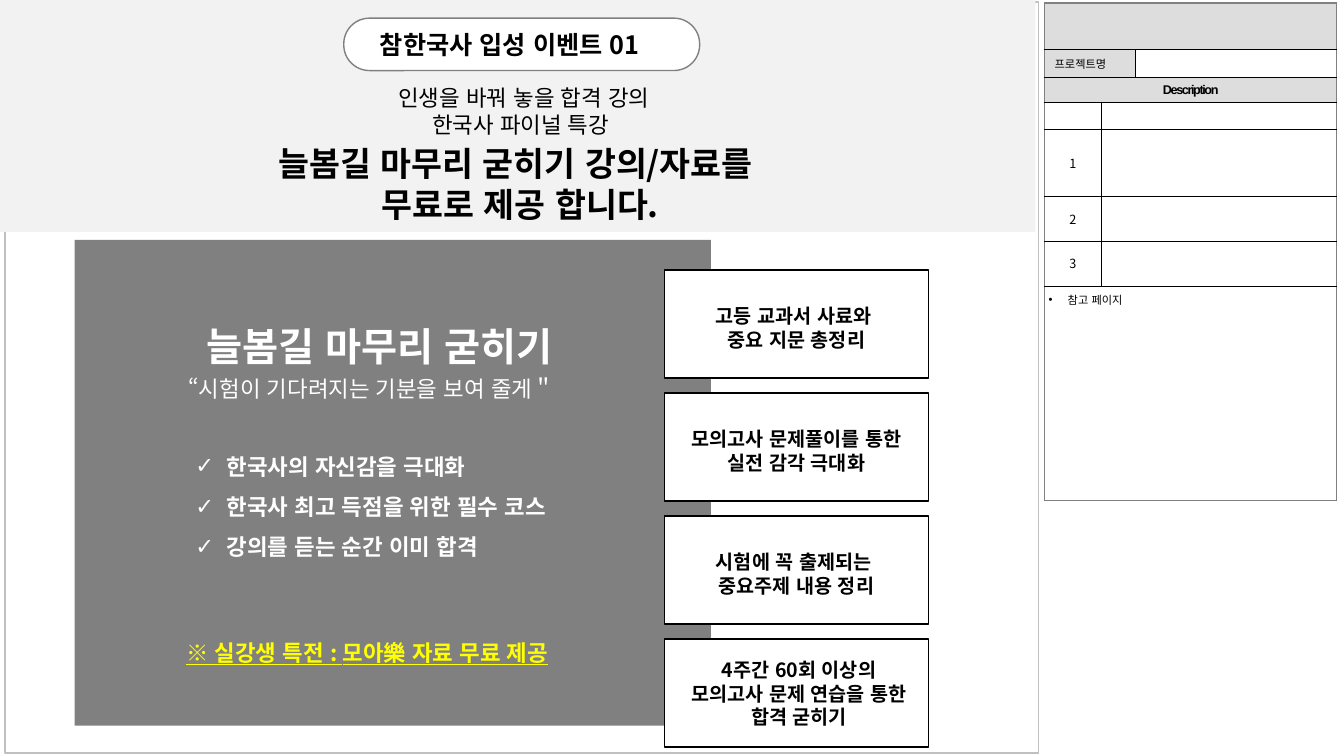
from lxml import etree
from pptx import Presentation
from pptx.dml.color import RGBColor
from pptx.enum.shapes import MSO_SHAPE
from pptx.enum.text import MSO_ANCHOR, MSO_AUTO_SIZE, PP_ALIGN
from pptx.oxml.ns import qn
from pptx.util import Emu, Pt

RECT, ROUND = MSO_SHAPE.RECTANGLE, MSO_SHAPE.ROUNDED_RECTANGLE
TOP, MIDDLE = MSO_ANCHOR.TOP, MSO_ANCHOR.MIDDLE
LEFT, CENTER = PP_ALIGN.LEFT, PP_ALIGN.CENTER
FIT = MSO_AUTO_SIZE.SHAPE_TO_FIT_TEXT
PX = 9144
KOREAN, LATIN = "Noto Sans CJK KR", "Arial"
BLACK, WHITE, GREY, YELLOW = "000000", "FFFFFF", "808080", "FFFF00"
PALE, HEADER, FRAME = "F2F2F2", "DDDDDD", "C0C0C0"


def px(n):
    """Turn px into EMU."""
    return Emu(n * PX)


def rgb(color):
    """Turn a hex string into a colour."""
    return RGBColor.from_string(color)


class Board:
    """Draw styled elements on one slide."""

    def __init__(self, s):
        """Keep the slide."""
        self.s = s

    def box(self, x, y, w, h, fill=None, line=None, kind=RECT):
        """Add a preset shape."""
        sp = self.s.shapes.add_shape(kind, px(x), px(y), px(w), px(h))
        sp.shadow.inherit = False
        if fill:
            sp.fill.solid()
            sp.fill.fore_color.rgb = rgb(fill)
        else:
            sp.fill.background()
        if line:
            sp.line.color.rgb = rgb(line)
            sp.line.width = Pt(1)
        else:
            sp.line.fill.background()
        return sp

    def run(self, p, text, size, color=BLACK, bold=False, font=KOREAN, underline=False):
        """Add a run without kerning, with its Latin and East Asian fonts."""
        r = p.add_run()
        r.text = text
        r.font.size, r.font.bold, r.font.name = Pt(size), bold, font
        r.font.color.rgb = rgb(color)
        if underline:
            r.font.underline = True
        rPr = r._r.get_or_add_rPr()
        rPr.set("lang", "ko-KR")
        rPr.set("kern", "0")
        etree.SubElement(rPr, qn("a:ea"), typeface=font)
        return r

    def bullet(self, p, char, indent):
        """Give a paragraph a hanging bullet."""
        pPr = p._p.get_or_add_pPr()
        pPr.set("marL", str(px(indent)))
        pPr.set("indent", str(px(-indent)))
        etree.SubElement(pPr, qn("a:buFont"), typeface=LATIN)
        etree.SubElement(pPr, qn("a:buChar"), char=char)

    def fill_text(self, sp, lines, size, align=CENTER, spacing=None, bullet=None, **style):
        """Write one paragraph per line into a shape."""
        tf = sp.text_frame
        tf.word_wrap, tf.auto_size, tf.vertical_anchor = False, FIT, TOP
        for i, line in enumerate(lines):
            p = tf.add_paragraph() if i else tf.paragraphs[0]
            p.alignment = align
            if spacing:
                p.line_spacing = spacing
            if bullet:
                self.bullet(p, bullet, 31)
            self.run(p, line, size, **style)

    def text(self, x, y, w, h, lines, size, **style):
        """Add a text box."""
        sp = self.s.shapes.add_textbox(px(x), px(y), px(w), px(h))
        self.fill_text(sp, lines, size, **style)

    def title(self, x, y, w, h, lines, size, **style):
        """Place the title placeholder in front of what is drawn so far."""
        sp = self.s.shapes.title
        sp.left, sp.top, sp.width, sp.height = px(x), px(y), px(w), px(h)
        self.s.shapes._spTree.append(sp._element)
        self.fill_text(sp, lines, size, **style)

    def border(self, cell, sides):
        """Set cell borders from a map of side to outer flag."""
        tcPr = cell._tc.get_or_add_tcPr()
        names = [side for side in "LRTB" if side in sides]
        for i, side in enumerate(names):
            color, width = (GREY, 1) if sides[side] else (BLACK, 0.25)
            ln = etree.Element(qn("a:ln" + side), w=str(Pt(width)))
            solid = etree.SubElement(ln, qn("a:solidFill"))
            etree.SubElement(solid, qn("a:srgbClr"), val=color)
            tcPr.insert(i, ln)

    def table(self, x, y, cols, rows, merges, shaded):
        """Add a table with a grey outline and thin black inner lines."""
        frame = self.s.shapes.add_table(len(rows), len(cols), px(x), px(y),
                                        px(sum(cols)), px(sum(rows)))
        t = frame.table
        t.first_row = t.horz_banding = False
        for col, w in zip(t.columns, cols):
            col.width = px(w)
        for row, h in zip(t.rows, rows):
            row.height = px(h)
        for i, first, last in merges:
            t.cell(i, first).merge(t.cell(i, last))
        for i in range(len(rows)):
            for j in range(len(cols)):
                cell = t.cell(i, j)
                cell.margin_top = cell.margin_bottom = 0
                cell.vertical_anchor = MIDDLE
                cell.fill.solid()
                cell.fill.fore_color.rgb = rgb(HEADER if (i, j) in shaded else WHITE)
                sides = {"T": i == 0, "B": i == len(rows) - 1}
                if not cell.is_spanned:
                    sides["L"] = j == 0
                    sides["R"] = j + cell.span_width == len(cols)
                elif j == len(cols) - 1:
                    sides["R"] = True
                self.border(cell, sides)
        return t

    def cell(self, cell, text, size, align=CENTER, **style):
        """Write one line into a cell."""
        p = cell.text_frame.paragraphs[0]
        p.alignment = align
        return self.run(p, text, size, **style)


def description_panel(b):
    """Draw the description table at the right."""
    merges = [(0, 0, 2), (1, 0, 1), (2, 0, 2), (7, 0, 2)]
    merges += [(i, 1, 2) for i in range(3, 7)]
    t = b.table(1036, 3, [56, 34, 200], [46, 28, 24, 27, 67, 44, 45, 213],
                merges, {(0, 0), (1, 0), (2, 0)})
    b.cell(t.cell(1, 0), "프로젝트명", 8, LEFT)
    r = b.cell(t.cell(2, 0), "Description", 9, bold=True, font=LATIN)
    r._r.get_or_add_rPr().set("spc", "-100")
    for n in range(1, 4):
        b.cell(t.cell(n + 3, 0), str(n), 9)
    note = t.cell(7, 0)
    note.vertical_anchor = TOP
    note.margin_left, note.margin_top = px(4), px(5)
    b.cell(note, "참고 페이지", 8, LEFT)
    b.bullet(note.text_frame.paragraphs[0], "•", 19)
    for cell in t.iter_cells():
        p = cell.text_frame.paragraphs[0]
        if not p.runs:
            etree.SubElement(p._p, qn("a:endParaRPr"), sz="800")


def main():
    """Build the slide."""
    prs = Presentation()
    prs.slide_width, prs.slide_height = px(1333), px(750)
    b = Board(prs.slides.add_slide(prs.slide_layouts[5]))

    b.box(5, 2, 1025, 745, line=FRAME)
    b.box(74, 238, 631, 482, fill=GREY)
    b.box(0, 0, 1027, 230, fill=PALE)
    description_panel(b)

    b.title(250, 137, 532, 91, ["늘봄길 마무리 굳히기 강의/자료를 ", "무료로 제공 합니다."],
            24, bold=True)
    badge = b.box(341, 18, 353, 52, WHITE, GREY, ROUND)
    badge.adjustments[0] = 0.49
    b.text(367, 24, 303, 40, ["참한국사 입성 이벤트 01"], 18, align=LEFT, bold=True)
    b.text(370, 79, 299, 64, ["인생을 바꿔 놓을 합격 강의", "한국사 파이널 특강 "], 16)

    b.text(176, 268, 401, 89, ["늘봄길 마무리 굳히기"], 28, spacing=2.0,
           color=WHITE, bold=True)
    b.text(177, 367, 419, 37, ["“시험이 기다려지는 기분을 보여 줄게＂"], 16, align=LEFT, color=WHITE)
    b.text(184, 431, 405, 130,
           ["한국사의 자신감을 극대화", "한국사 최고 득점을 위한 필수 코스", "강의를 듣는 순간 이미 합격"],
           16, align=LEFT, spacing=1.5, bullet="✓", color=WHITE, bold=True)
    b.text(175, 629, 413, 37, ["※ 실강생 특전 : 모아樂 자료 무료 제공"], 16, align=LEFT,
           color=YELLOW, bold=True, underline=True)

    cards = [
        (691, 29, 198, 57, ["고등 교과서 사료와 ", "중요 지문 총정리"]),
        (665, 29, 250, 57, ["모의고사 문제풀이를 통한", "실전 감각 극대화"]),
        (691, 29, 198, 57, ["시험에 꼭 출제되는 ", "중요주제 내용 정리"]),
        (664, 14, 257, 81, ["4주간 60회 이상의", "모의고사 문제 연습을 통한", "합격 굳히기"]),
    ]
    for i, (x, dy, w, h, lines) in enumerate(cards):
        y = 268 + 122 * i
        b.box(659, y, 262, 107, WHITE, BLACK)
        b.text(x, y + dy, w, h, lines, 14, bold=True)

    prs.save("out.pptx")


if __name__ == "__main__":
    main()
